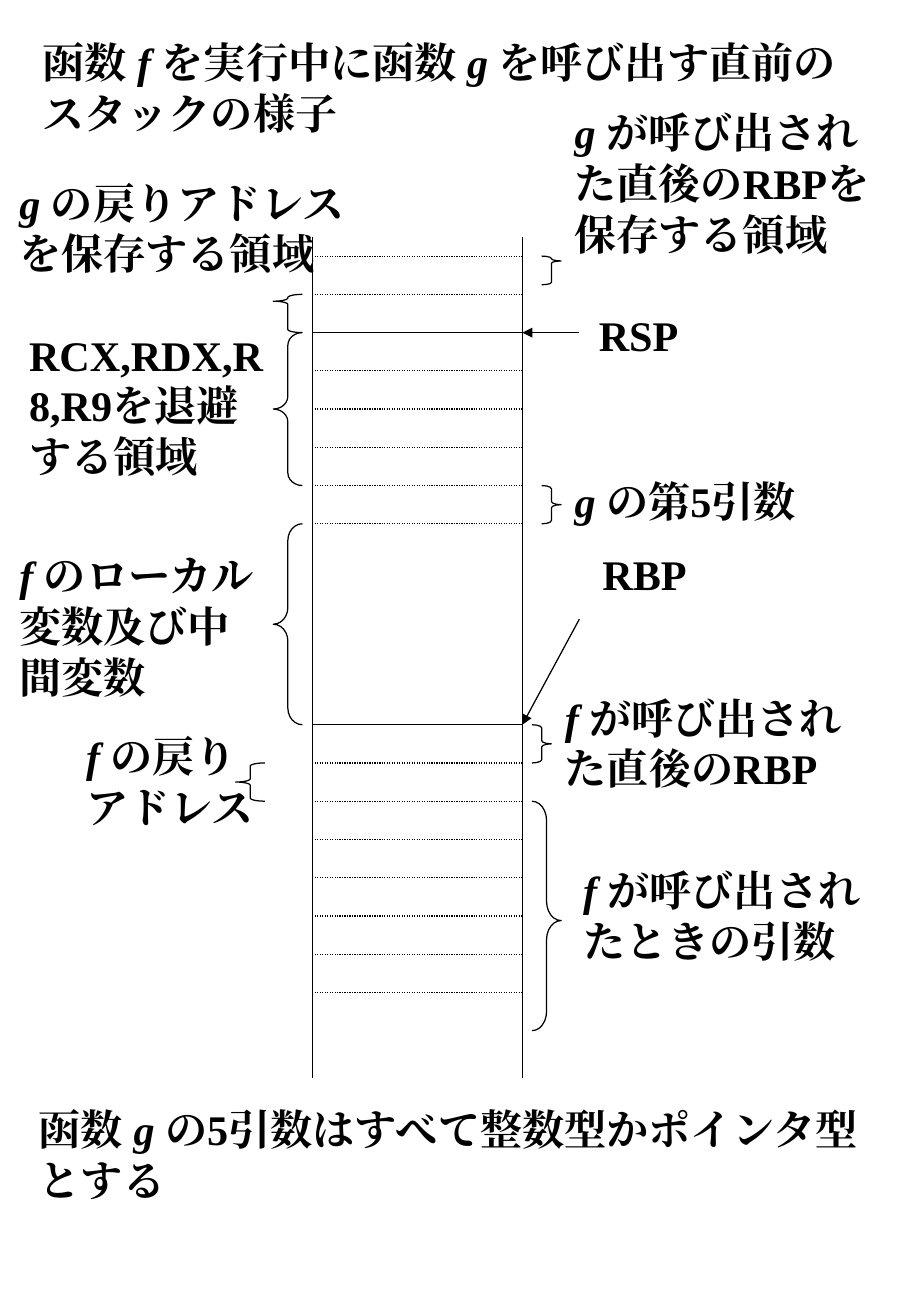
import pptx
import pptx.dml.color
import pptx.enum.dml
import pptx.enum.lang
import pptx.enum.shapes
import pptx.enum.text
import pptx.oxml
import pptx.oxml.ns
import pptx.util
import lxml.etree
from dataclasses import dataclass

Inches = pptx.util.Inches
SHAPES = pptx.enum.shapes.MSO_SHAPE


@dataclass(frozen=True)
class Theme:
    ink: pptx.dml.color.RGBColor = pptx.dml.color.RGBColor(0, 0, 0)
    font: str = "Times New Roman"
    size: float = 25
    leading: float = 30
    stroke: float = 0.75


THEME = Theme()
WIDTH, HEIGHT = 7.5, 10.84
LINE_H = THEME.leading / 72
PAD_X, PAD_Y = 0.11, 0.05

# Stack grid: equal cells, with the local variables as one tall cell
LEFT, RIGHT, TOP, BOTTOM = 2.57, 4.3, 1.95, 8.88
CELL = 0.315
FIRST_ROW, FRAME_ROW = 2.11, 5.97
LOCALS = 7  # cell whose lower edge is the frame pointer


def row_y(row):
    """Height of a cell border, counted from the top of the stack."""
    if row <= LOCALS:
        return FIRST_ROW + CELL * row
    return FRAME_ROW + CELL * (row - LOCALS - 1)


RSP_ROW, RBP_ROW, LAST_ROW = 2, LOCALS + 1, 15


def write(frame, text, wrap=True):
    """Fill a frame; names between asterisks are italic."""
    frame.word_wrap = wrap
    frame.auto_size = pptx.enum.text.MSO_AUTO_SIZE.NONE
    frame.vertical_anchor = pptx.enum.text.MSO_ANCHOR.TOP
    frame.margin_left = frame.margin_right = Inches(PAD_X)
    frame.margin_top = frame.margin_bottom = Inches(PAD_Y)
    for number, content in enumerate(text.split("\n")):
        paragraph = frame.add_paragraph() if number else frame.paragraphs[0]
        paragraph.alignment = pptx.enum.text.PP_ALIGN.LEFT
        paragraph.line_spacing = pptx.util.Pt(THEME.leading)
        font = paragraph.font
        font.size = pptx.util.Pt(THEME.size)
        font.bold = True
        font.color.rgb = THEME.ink
        font.name = THEME.font
        # East Asian font of the paragraph
        defaults = paragraph._p.pPr.find(pptx.oxml.ns.qn("a:defRPr"))
        east = lxml.etree.SubElement(defaults, pptx.oxml.ns.qn("a:ea"))
        east.set("typeface", THEME.font)
        for part, words in enumerate(content.split("*")):
            if words:
                run = paragraph.add_run()
                run.text = words
                run.font.language_id = pptx.enum.lang.MSO_LANGUAGE_ID.JAPANESE
                if part % 2:
                    run.font.italic = True


def label(slide, left, top, width, lines, text, wrap=True):
    box = slide.shapes.add_textbox(Inches(left), Inches(top), Inches(width),
                                   Inches(lines * LINE_H + 2 * PAD_Y))
    write(box.text_frame, text, wrap)


def rule(slide, start, end, dotted=False, arrow=False):
    line = slide.shapes.add_connector(
        pptx.enum.shapes.MSO_CONNECTOR.STRAIGHT,
        *(Inches(value) for value in (*start, *end)))
    line.line.color.rgb = THEME.ink
    line.line.width = pptx.util.Pt(THEME.stroke)
    if dotted:
        line.line.dash_style = pptx.enum.dml.MSO_LINE.ROUND_DOT
    properties = line._element.spPr
    if arrow:
        outline = properties.find(pptx.oxml.ns.qn("a:ln"))
        head = lxml.etree.SubElement(outline, pptx.oxml.ns.qn("a:tailEnd"))
        head.set("type", "triangle")
    lxml.etree.SubElement(properties, pptx.oxml.ns.qn("a:effectLst"))


def brace(slide, kind, left, top, width, height, tip=0.5):
    shape = slide.shapes.add_shape(kind, Inches(left), Inches(top),
                                   Inches(width), Inches(height))
    shape.shadow.inherit = False
    shape.fill.background()
    shape.line.color.rgb = THEME.ink
    shape.line.width = pptx.util.Pt(THEME.stroke)
    shape.adjustments[0] = height / 12 / min(width, height)
    shape.adjustments[1] = tip


def draw_title(slide, left, top, width, text):
    title = slide.shapes.title
    title.left, title.top = Inches(left), Inches(top)
    title.width, title.height = Inches(width), Inches(2 * LINE_H + 2 * PAD_Y)
    write(title.text_frame, text)


def draw_stack(slide, left, top, right, bottom):
    # Walls
    for x in (left, right):
        rule(slide, (x, top), (x, bottom))
    # Cell borders, solid where a register points
    for row in range(LAST_ROW + 1):
        rule(slide, (left, row_y(row)), (right, row_y(row)),
             dotted=row not in (RSP_ROW, RBP_ROW))


def draw_registers(slide, right):
    start_x = right + 0.47
    for name, row, rise, x, y in (("RSP", RSP_ROW, 0, 4.82, 2.5),
                                  ("RBP", RBP_ROW, 0.87, 4.85, 4.47)):
        rule(slide, (start_x, row_y(row) - rise), (right, row_y(row)),
             arrow=True)
        label(slide, x, y, 0.91, 1, name, wrap=False)


def draw_left_notes(slide):
    # Brace: left, first row, last row, tip
    for x, first, last, tip in ((2.25, 1, 2, 0.18), (2.25, 2, 6, 0.5),
                                (2.25, 7, 8, 0.5), (1.94, 9, 10, 0.5)):
        brace(slide, SHAPES.LEFT_BRACE, x, row_y(first), 0.24,
              row_y(last) - row_y(first), tip)
    label(slide, 0.05, 1.41, 3.15, 2, "*g *の戻りアドレス\nを保存する領域")
    label(slide, 0.13, 2.66, 2.2, 3, "RCX,RDX,R8,R9を退避する領域")
    label(slide, 0.05, 4.48, 2.21, 3, "*f *のローカル変数及び中間変数")
    label(slide, 0.6, 5.97, 1.65, 2, "*f *の戻り\nアドレス")


def draw_right_notes(slide):
    # Brace: left, first row, width, height in cells, tip
    for x, first, width, cells, tip in ((4.46, 0, 0.16, 0.75, 0.17),
                                        (4.46, 6, 0.16, 1, 0.5),
                                        (4.38, 8, 0.16, 1, 0.5),
                                        (4.38, 10, 0.24, 6, 0.52)):
        brace(slide, SHAPES.RIGHT_BRACE, x, row_y(first), width,
              cells * CELL, tip)
    for x, y, lines, text in (
            (4.62, 0.83, 3, "*g *が呼び出された直後のRBPを保存する領域"),
            (4.62, 3.87, 1, "*g *の第5引数"),
            (4.54, 5.65, 2, "*f *が呼び出された直後のRBP"),
            (4.69, 7.07, 2, "*f *が呼び出されたときの引数")):
        label(slide, x, y, 2.75, lines, text)


def main():
    deck = pptx.Presentation()
    deck.slide_width, deck.slide_height = Inches(WIDTH), Inches(HEIGHT)
    slide = deck.slides.add_slide(deck.slide_layouts[5])
    draw_title(slide, 0.24, 0.25, 6.97,
               "函数 *f *を実行中に函数 *g *を呼び出す直前のスタックの様子")
    draw_stack(slide, LEFT, TOP, RIGHT, BOTTOM)
    draw_registers(slide, RIGHT)
    draw_left_notes(slide)
    draw_right_notes(slide)
    # Assumption below the stack
    label(slide, 0.21, 9.04, 6.97, 2,
          "函数 *g *の5引数はすべて整数型かポインタ型とする")
    deck.save("out.pptx")


if __name__ == "__main__":
    main()
